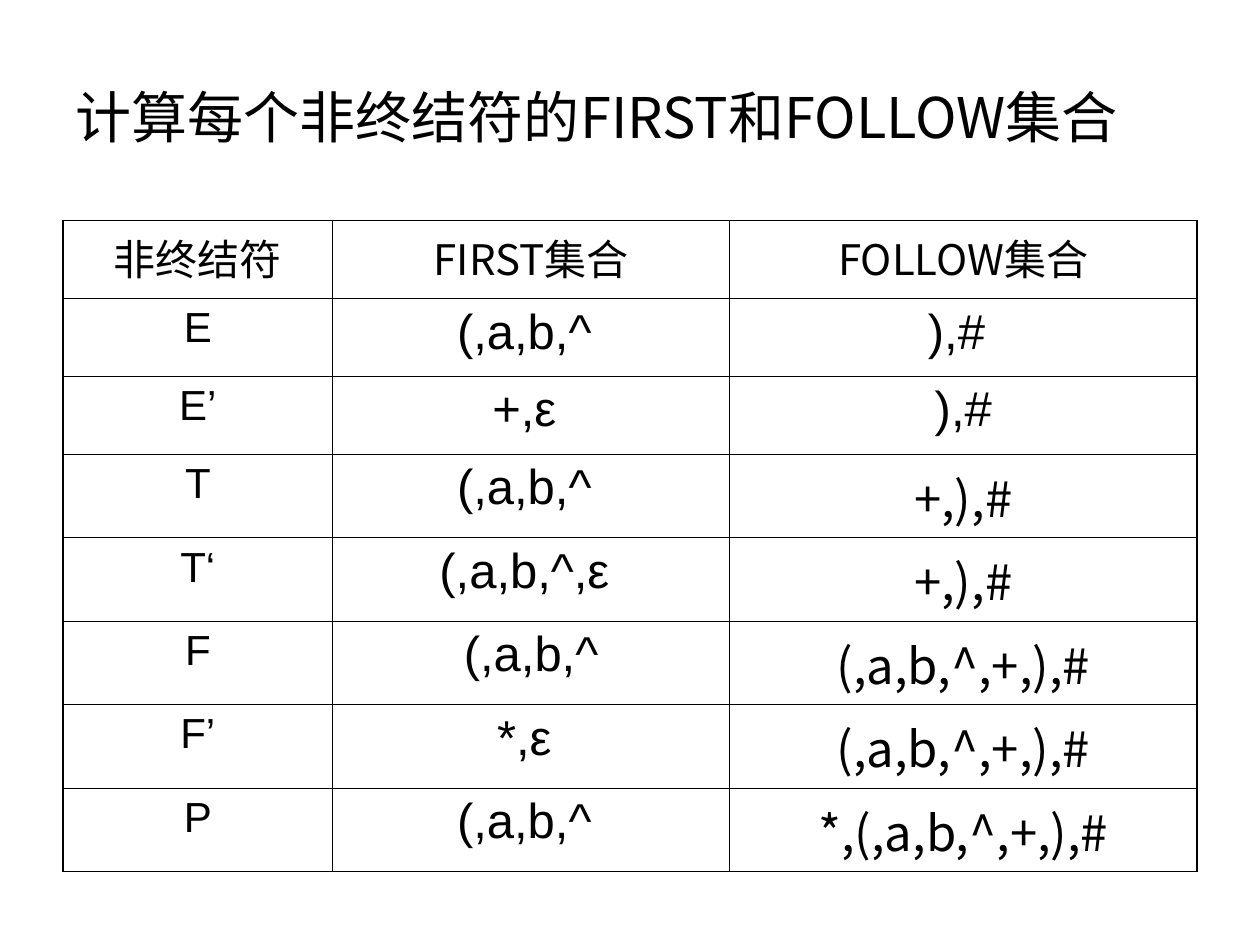
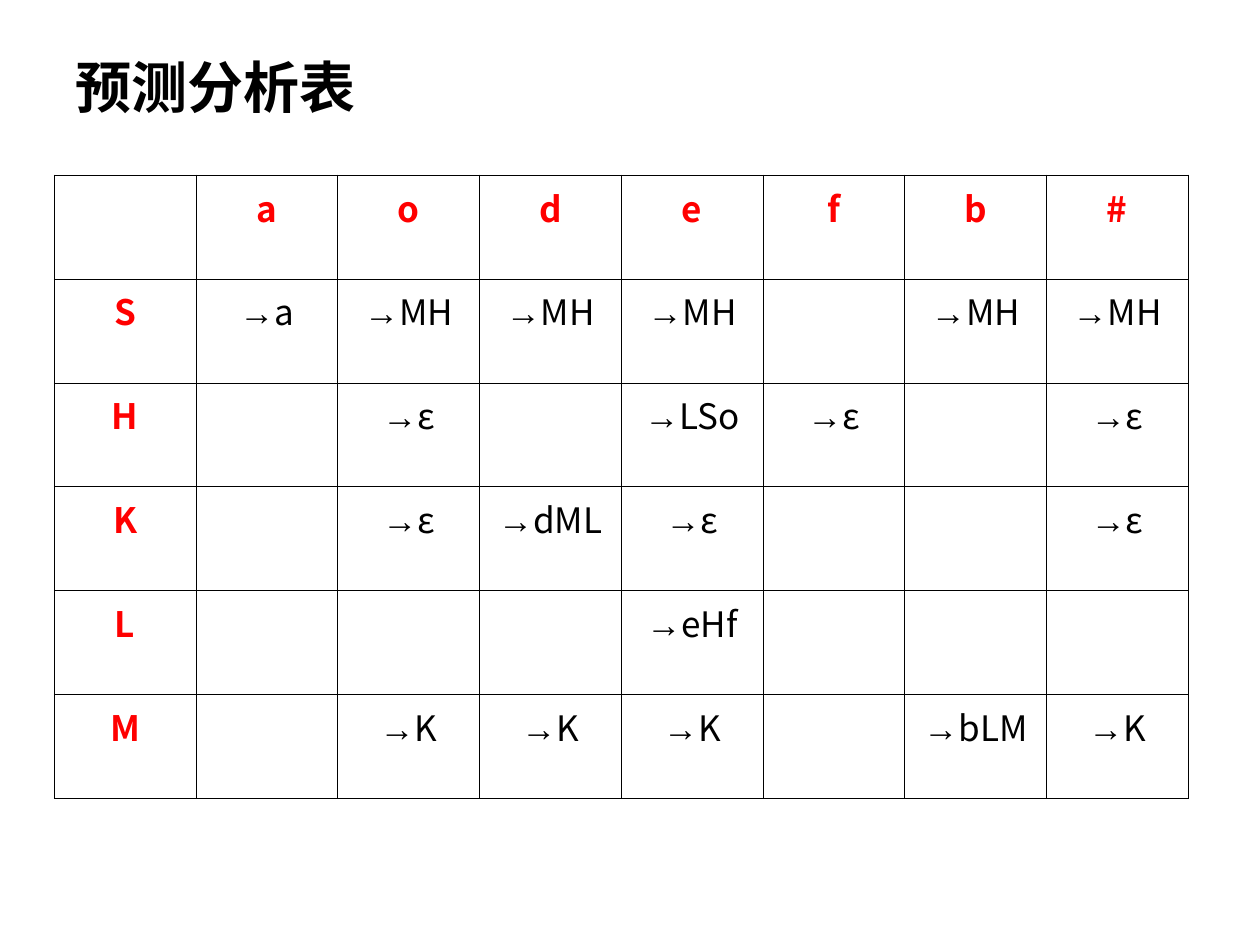
import lxml.etree
import pptx
import pptx.dml.color
import pptx.enum.text
import pptx.oxml.ns
import pptx.util

Pt = pptx.util.Pt
LATIN, CJK = "Arial", "Noto Sans CJK SC"
BLACK, RED = "000000", "FF0000"
THIN, THICK = 0.45, 1.08
TABLE_WIDTH, TABLE_HEIGHT = 648, 356.4
MARGIN, TITLE_TOP = 36, 21.6

SETS_TITLE = "计算每个非终结符的FIRST和FOLLOW集合"
SETS_HEADER = [("非终结符", LATIN), ("FIRST集合", CJK), ("FOLLOW集合", CJK)]
SETS_COLUMNS = [154.1, 226.8, 267.1]
# Nonterminal, FIRST set, FOLLOW set, typeface of the FOLLOW set
SETS = [
    ("E", "(,a,b,^ ", "),# ", LATIN),
    ("E’", "+,ε ", "),#", LATIN),
    ("T", "(,a,b,^ ", "+,),#", CJK),
    ("T‘", "(,a,b,^,ε ", "+,),#", CJK),
    ("F", "(,a,b,^", "(,a,b,^,+,),#", CJK),
    ("F’", "*,ε ", "(,a,b,^,+,),#", CJK),
    ("P", "(,a,b,^ ", "*,(,a,b,^,+,),#", CJK),
]

PARSING_TITLE = "预测分析表"
TERMINALS = ["a", "o", "d", "e", "f", "b", "#"]
PRODUCTIONS = {
    "S": {"a": "a", "o": "MH", "d": "MH", "e": "MH", "b": "MH", "#": "MH"},
    "H": {"o": "ε", "e": "LSo", "f": "ε", "#": "ε"},
    "K": {"o": "ε", "d": "dML", "e": "ε", "#": "ε"},
    "L": {"e": "eHf"},
    "M": {"o": "K", "d": "K", "e": "K", "b": "bLM", "#": "K"},
}


def rgb(value):
    return pptx.dml.color.RGBColor.from_string(value)


def add_run(paragraph, text, size, face, color=BLACK, bold=False, east_face=CJK):
    run = paragraph.add_run()
    run.text = text
    font = run.font
    font.size, font.name, font.bold = Pt(size), face, bold
    font.color.rgb = rgb(color)
    east = lxml.etree.SubElement(font._element, pptx.oxml.ns.qn("a:ea"))
    east.set("typeface", east_face)


def add_titled_slide(deck, title, height, face, bold=False):
    slide = deck.slides.add_slide(deck.slide_layouts[5])
    heading = slide.shapes.title
    heading.left, heading.top = Pt(MARGIN), Pt(TITLE_TOP)
    heading.width, heading.height = Pt(TABLE_WIDTH), Pt(height)
    frame = heading.text_frame
    frame.auto_size = pptx.enum.text.MSO_AUTO_SIZE.NONE
    frame.vertical_anchor = pptx.enum.text.MSO_ANCHOR.MIDDLE
    frame.paragraphs[0].alignment = pptx.enum.text.PP_ALIGN.LEFT
    add_run(frame.paragraphs[0], title, 32, face, bold=bold)
    return slide


def set_borders(cell, widths):
    """Draw the sides of a cell; widths run left, right, top, bottom."""
    properties = cell._tc.get_or_add_tcPr()
    for position, (side, width) in enumerate(zip("LRTB", widths)):
        line = lxml.etree.Element(pptx.oxml.ns.qn(f"a:ln{side}"), w=str(int(Pt(width))))
        fill = lxml.etree.SubElement(line, pptx.oxml.ns.qn("a:solidFill"))
        lxml.etree.SubElement(fill, pptx.oxml.ns.qn("a:srgbClr"), val=BLACK)
        properties.insert(position, line)


def add_grid(slide, left, top, column_widths, row_count, frame_width):
    """Add an unfilled table with thin rules and an outer frame."""
    column_count = len(column_widths)
    table = slide.shapes.add_table(row_count, column_count, Pt(left), Pt(top),
                                   Pt(TABLE_WIDTH), Pt(TABLE_HEIGHT)).table
    table.first_row = table.horz_banding = False
    for column, width in zip(table.columns, column_widths):
        column.width = Pt(width)
    for r, row in enumerate(table.rows):
        row.height = Pt(TABLE_HEIGHT / row_count)
        for c, cell in enumerate(row.cells):
            cell.fill.background()
            on_frame = (c == 0, c == column_count - 1, r == 0, r == row_count - 1)
            set_borders(cell, [frame_width if outer else THIN for outer in on_frame])
            cell.text_frame.paragraphs[0].alignment = pptx.enum.text.PP_ALIGN.CENTER
    return table


def cell_paragraph(table, row, column):
    return table.cell(row, column).text_frame.paragraphs[0]


def build_sets_slide(deck):
    slide = add_titled_slide(deck, SETS_TITLE, 90, CJK)
    table = add_grid(slide, MARGIN, 126, SETS_COLUMNS, len(SETS) + 1, THICK)
    for c, (label, face) in enumerate(SETS_HEADER):
        add_run(cell_paragraph(table, 0, c), label, 24, face)
    for r, (nonterminal, first, follow, follow_face) in enumerate(SETS, start=1):
        add_run(cell_paragraph(table, r, 0), nonterminal, 24, LATIN)
        add_run(cell_paragraph(table, r, 1), first, 28, LATIN)
        add_run(cell_paragraph(table, r, 2), follow, 28, follow_face)


def build_parsing_slide(deck):
    slide = add_titled_slide(deck, PARSING_TITLE, 55.4, LATIN, bold=True)
    column_count = len(TERMINALS) + 1
    table = add_grid(slide, 31, 100, [TABLE_WIDTH / column_count] * column_count,
                     len(PRODUCTIONS) + 1, THIN)
    for c, terminal in enumerate(TERMINALS, start=1):
        add_run(cell_paragraph(table, 0, c), terminal, 20, CJK, RED, True)
    for r, (nonterminal, right_sides) in enumerate(PRODUCTIONS.items(), start=1):
        add_run(cell_paragraph(table, r, 0), nonterminal, 20, CJK, RED, True)
        for terminal, right_side in right_sides.items():
            paragraph = cell_paragraph(table, r, TERMINALS.index(terminal) + 1)
            add_run(paragraph, "→", 20, LATIN, east_face=LATIN)
            add_run(paragraph, right_side, 20, CJK)


def main():
    deck = pptx.Presentation()
    deck.slide_width, deck.slide_height = Pt(720), Pt(540)
    build_sets_slide(deck)
    build_parsing_slide(deck)
    deck.save("out.pptx")


if __name__ == "__main__":
    main()
